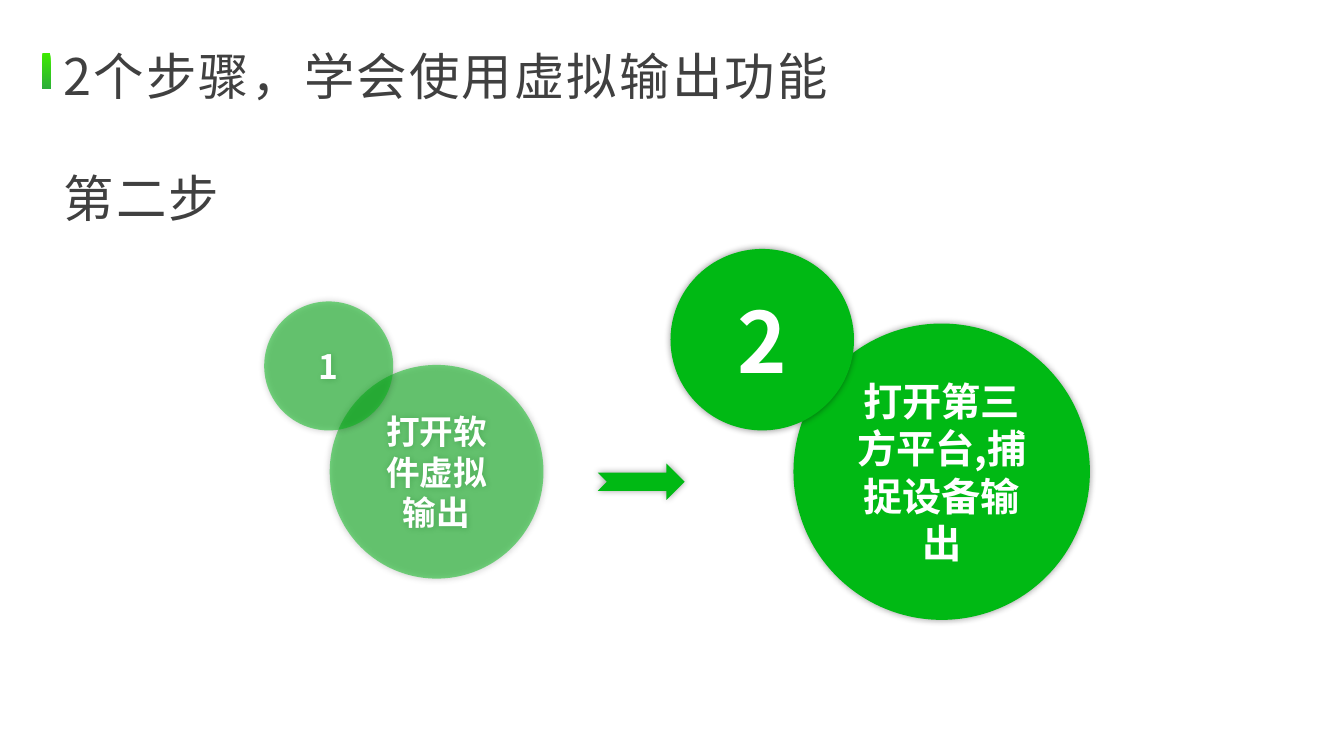
import pptx
import pptx.dml.color
import pptx.enum.shapes
import pptx.enum.text
import pptx.oxml
import pptx.oxml.ns
import pptx.util

Inches = pptx.util.Inches
Pt = pptx.util.Pt
Align = pptx.enum.text.PP_ALIGN
Anchor = pptx.enum.text.MSO_ANCHOR
Shape = pptx.enum.shapes.MSO_SHAPE

FONT = "Noto Sans CJK SC"
COLORS = {
    "green": "00B914",
    "lime": "3DEA00",
    "leaf": "2CAE39",
    "title": "404040",
    "white": "FFFFFF",
    "shadow": "000000",
}


def rgb(name):
    return pptx.dml.color.RGBColor.from_string(COLORS[name])


def write(para, text, size, color, bold=False, align=Align.LEFT, tracking=0):
    para.alignment = align
    para.line_spacing = Pt(round(size * 1.21, 1))
    span = para.add_run()
    span.text = text
    span.font.size = Pt(size)
    span.font.bold = bold
    span.font.color.rgb = rgb(color)
    span.font.name = FONT
    properties = span.font._element
    if tracking:
        properties.set("spc", str(round(tracking * 100)))
    east_asian = pptx.oxml.parse_xml(
        f'<a:ea {pptx.oxml.ns.nsdecls("a")} typeface="{FONT}"/>')
    properties.find(pptx.oxml.ns.qn("a:latin")).addnext(east_asian)


def add_glowing_shape(page, kind, box, opacity=100):
    """Add a green shape with a soft, undisplaced shadow."""
    shape = page.shapes.add_shape(kind, *map(Inches, box))
    shape.fill.solid()
    shape.fill.fore_color.rgb = rgb("green")
    shape.line.fill.background()
    if opacity < 100:
        color = shape._element.spPr.find(".//" + pptx.oxml.ns.qn("a:srgbClr"))
        color.append(pptx.oxml.parse_xml(
            f'<a:alpha {pptx.oxml.ns.nsdecls("a")} val="{opacity * 1000}"/>'))
    shape._element.spPr.append(pptx.oxml.parse_xml(
        f'<a:effectLst {pptx.oxml.ns.nsdecls("a")}>'
        f'<a:outerShdw blurRad="{Pt(5)}" dist="0" dir="0" algn="ctr" rotWithShape="0">'
        f'<a:srgbClr val="{COLORS["shadow"]}"><a:alpha val="40000"/></a:srgbClr>'
        '</a:outerShdw></a:effectLst>'))
    return shape


def add_circle(page, box, text, size, opacity):
    circle = add_glowing_shape(page, Shape.OVAL, box, opacity)
    frame = circle.text_frame
    frame.word_wrap = True
    frame.vertical_anchor = Anchor.MIDDLE
    write(frame.paragraphs[0], text, size, "white", bold=True, align=Align.CENTER)


def add_step(page, box, number, label, badge, diameter, sizes, opacity=100):
    """Place the badge at the box's top left and the label circle at its bottom right."""
    left, top, width, height = box
    label_box = (left + width - diameter, top + height - diameter, diameter, diameter)
    add_circle(page, label_box, label, sizes[1], opacity)
    add_circle(page, (left, top, *badge), number, sizes[0], opacity)


def add_heading(page, box):
    left, top, width, height = box
    title = page.shapes.title
    title.left, title.top = Inches(left + 0.11), Inches(top)
    title.width, title.height = Inches(width - 0.11), Inches(height)
    frame = title.text_frame
    frame.auto_size = pptx.enum.text.MSO_AUTO_SIZE.NONE
    frame.word_wrap = True
    frame.vertical_anchor = Anchor.TOP
    style = dict(size=36, color="title", tracking=1.6)
    write(frame.paragraphs[0], "2个步骤，学会使用虚拟输出功能", **style)
    second = frame.add_paragraph()
    write(second, "第二步", **style)
    frame.paragraphs[0].space_before = Pt(0)
    second.space_before = Pt(43.5)

    marker = page.shapes.add_shape(
        Shape.RECTANGLE, *map(Inches, (left, top + 0.14, 0.08, 0.35)))
    marker.shadow.inherit = False
    marker.line.fill.background()
    marker.fill.gradient()
    marker.fill.gradient_angle = 266
    for stop, color, position in zip(marker.fill.gradient_stops, ("lime", "leaf"), (0, 1)):
        stop.color.rgb = rgb(color)
        stop.position = position


def main():
    deck = pptx.Presentation()
    deck.slide_width, deck.slide_height = Inches(13.33), Inches(7.5)
    page = deck.slides.add_slide(deck.slide_layouts.get_by_name("Title Only"))
    add_heading(page, (0.42, 0.39, 7.93, 1.92))
    add_step(page, (2.62, 2.99, 2.77, 2.75), "1", "打开软件虚拟输出",
             badge=(1.28, 1.28), diameter=2.12, sizes=(24, 24), opacity=51)
    add_step(page, (6.65, 2.47, 4.16, 3.68), "2", "打开第三方平台,捕捉设备输出",
             badge=(1.82, 1.8), diameter=2.94, sizes=(60, 28))
    add_glowing_shape(page, Shape.NOTCHED_RIGHT_ARROW, (5.93, 4.6, 0.86, 0.36))
    deck.save("out.pptx")


if __name__ == "__main__":
    main()
